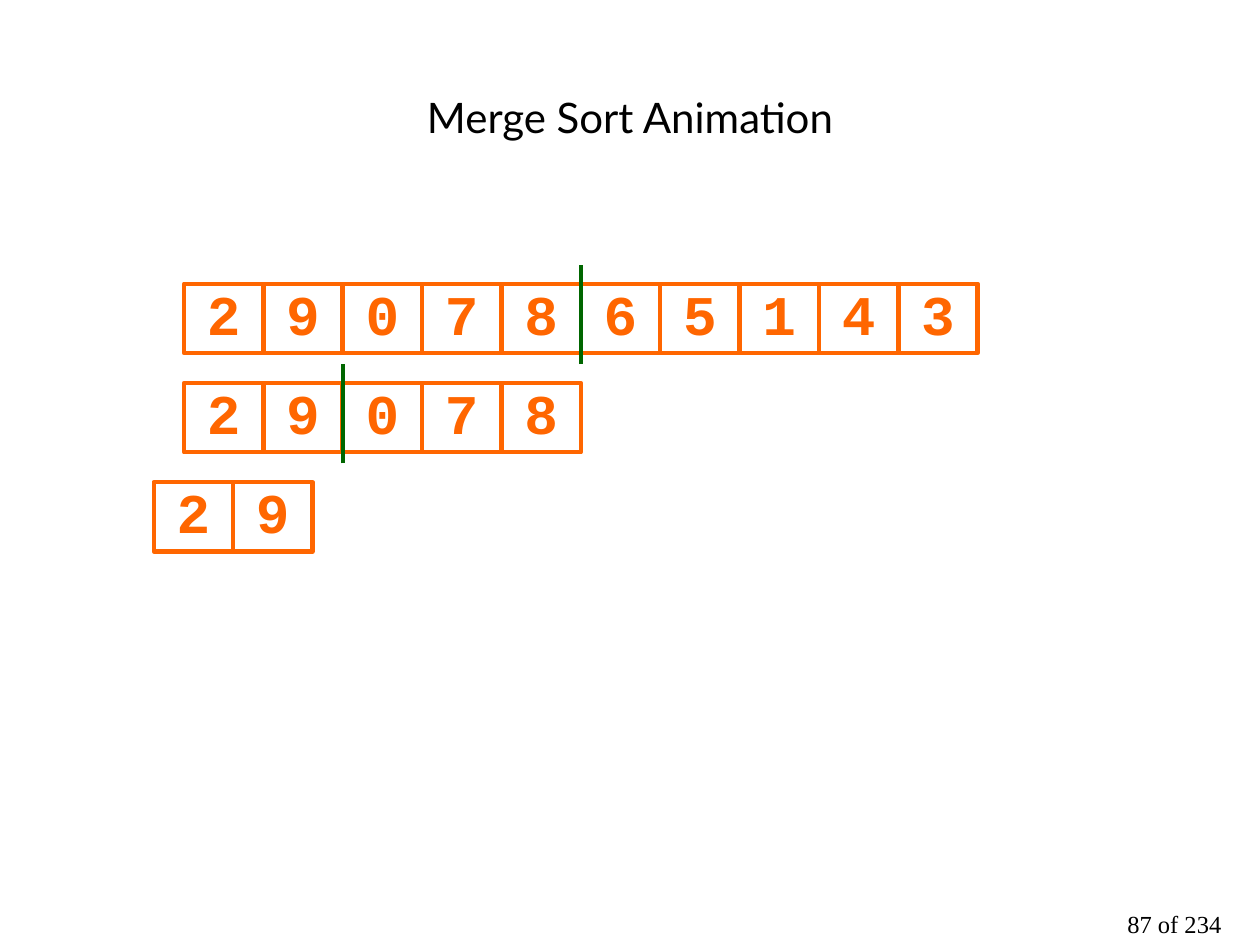
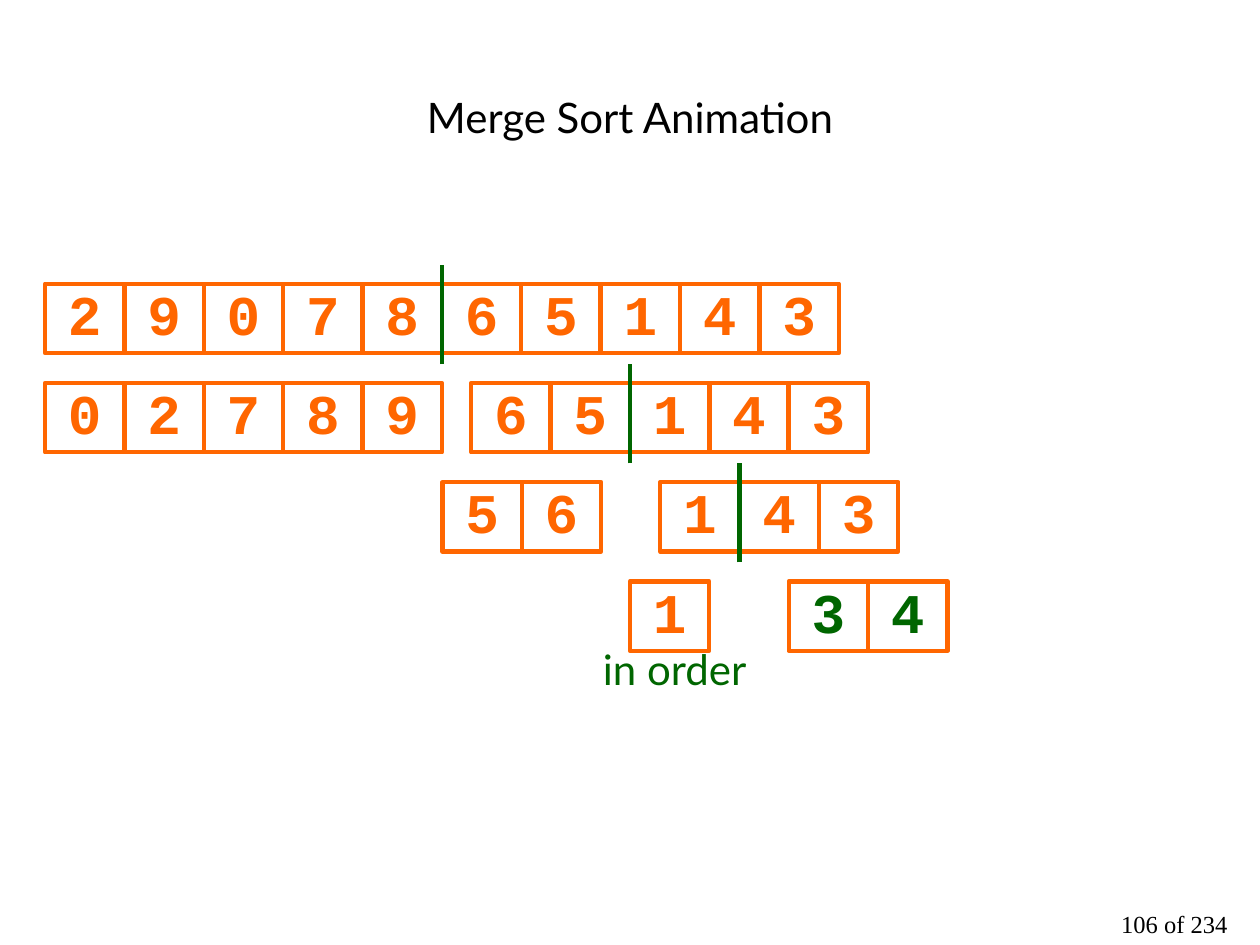
from lxml.etree import SubElement
from pptx import Presentation
from pptx.dml.color import RGBColor
from pptx.enum.shapes import MSO_CONNECTOR, MSO_SHAPE
from pptx.enum.text import MSO_ANCHOR, MSO_AUTO_SIZE, PP_ALIGN
from pptx.oxml.ns import qn
from pptx.util import Cm, Pt

BLACK, ORANGE, GREEN = "000000", "FF6600", "006600"
TITLE_FONT, DIGIT_FONT, FOOTER_FONT = "Lato", "Courier New", "Times New Roman"
LINE_WIDTH = Pt(2.5)

# All lengths below are centimetres.
CELL_WIDTH, CELL_HEIGHT = 1.6, 1.4
FIRST_ROW_TOP, ROW_PITCH = 5.72, 2.0
DIVIDER_RISE = 0.38

PAGE_COUNT = 234
UNSORTED = "2907865143"

# Each run: digits, left edge, row, cells before the divider (0 for none), digit colour
FIRST_SPLIT_RUNS = [
    (UNSORTED, 3.71, 0, 5, ORANGE),
    ("29078", 3.71, 1, 2, ORANGE),
    ("29", 3.1, 2, 0, ORANGE),
]
RIGHT_HALF_RUNS = [
    (UNSORTED, 0.91, 0, 5, ORANGE),
    ("02789", 0.91, 1, 0, ORANGE),
    ("65143", 9.5, 1, 2, ORANGE),
    ("56", 8.92, 2, 0, ORANGE),
    ("143", 13.31, 2, 1, ORANGE),
    ("1", 12.7, 3, 0, ORANGE),
    ("34", 15.9, 3, 0, GREEN),
]


def rgb(color):
    return RGBColor.from_string(color)


def row_top(row):
    return FIRST_ROW_TOP + row * ROW_PITCH


def write_text(shape, text, font_name, size, color, bold=False, line_spacing=None):
    """Fill a shape with one centred, formatted paragraph."""
    frame = shape.text_frame
    frame.text = text
    frame.word_wrap = True
    frame.auto_size = MSO_AUTO_SIZE.NONE
    paragraph = frame.paragraphs[0]
    paragraph.alignment = PP_ALIGN.CENTER
    paragraph.line_spacing = line_spacing
    font = paragraph.runs[0].font
    font.name, font.size, font.bold = font_name, Pt(size), bold
    font.color.rgb = rgb(color)


def clear_margins(frame):
    frame.margin_left = frame.margin_right = frame.margin_top = frame.margin_bottom = 0


def add_cell(slide, digit, left, top, color):
    cell = slide.shapes.add_shape(
        MSO_SHAPE.RECTANGLE, Cm(left), Cm(top), Cm(CELL_WIDTH), Cm(CELL_HEIGHT))
    cell.shadow.inherit = False
    cell.fill.background()
    cell.line.color.rgb = rgb(ORANGE)
    cell.line.width = LINE_WIDTH
    clear_margins(cell.text_frame)
    cell.text_frame.vertical_anchor = MSO_ANCHOR.MIDDLE
    write_text(cell, digit, DIGIT_FONT, 32, color, bold=True, line_spacing=0.85)


def add_divider(slide, x, top):
    """Draw the vertical line at which a run is split."""
    divider = slide.shapes.add_connector(
        MSO_CONNECTOR.STRAIGHT, Cm(x), Cm(top + ROW_PITCH), Cm(x), Cm(top))
    divider.line.color.rgb = rgb(GREEN)
    divider.line.width = LINE_WIDTH
    SubElement(divider.element.spPr, qn("a:effectLst"))


def add_run(slide, digits, left, row, split, color):
    """Draw one array as touching cells, with a divider after `split` cells."""
    top = row_top(row)
    for index, digit in enumerate(digits):
        add_cell(slide, digit, left + index * CELL_WIDTH, top, color)
    if split:
        add_divider(slide, left + split * CELL_WIDTH, top - DIVIDER_RISE)


def add_order_label(slide, left, top):
    label = slide.shapes.add_textbox(Cm(left), Cm(top), Cm(4.6), Cm(0.86))
    clear_margins(label.text_frame)
    write_text(label, "in order", TITLE_FONT, 24, GREEN, line_spacing=0.85)


def add_page_number(slide, page):
    footer = slide.shapes.add_textbox(Cm(21.95), Cm(18.34), Cm(3.45), Cm(0.71))
    write_text(footer, f"{page} of {PAGE_COUNT}", FOOTER_FONT, 14, BLACK, line_spacing=0.75)


def add_sort_slide(presentation, page, runs):
    slide = presentation.slides.add_slide(presentation.slide_layouts.get_by_name("Title Only"))
    title = slide.shapes.title
    title.left, title.top, title.width, title.height = Cm(1.27), Cm(0.76), Cm(22.86), Cm(3.18)
    title.text_frame.vertical_anchor = MSO_ANCHOR.MIDDLE
    write_text(title, "Merge Sort Animation", TITLE_FONT, 24, BLACK)
    add_page_number(slide, page)
    for run in runs:
        add_run(slide, *run)
    return slide


def main():
    presentation = Presentation()
    presentation.slide_width, presentation.slide_height = Cm(25.4), Cm(19.05)
    add_sort_slide(presentation, 87, FIRST_SPLIT_RUNS)
    slide = add_sort_slide(presentation, 106, RIGHT_HALF_RUNS)
    add_order_label(slide, 11.3, row_top(3) + CELL_HEIGHT)
    presentation.save("out.pptx")


if __name__ == "__main__":
    main()
